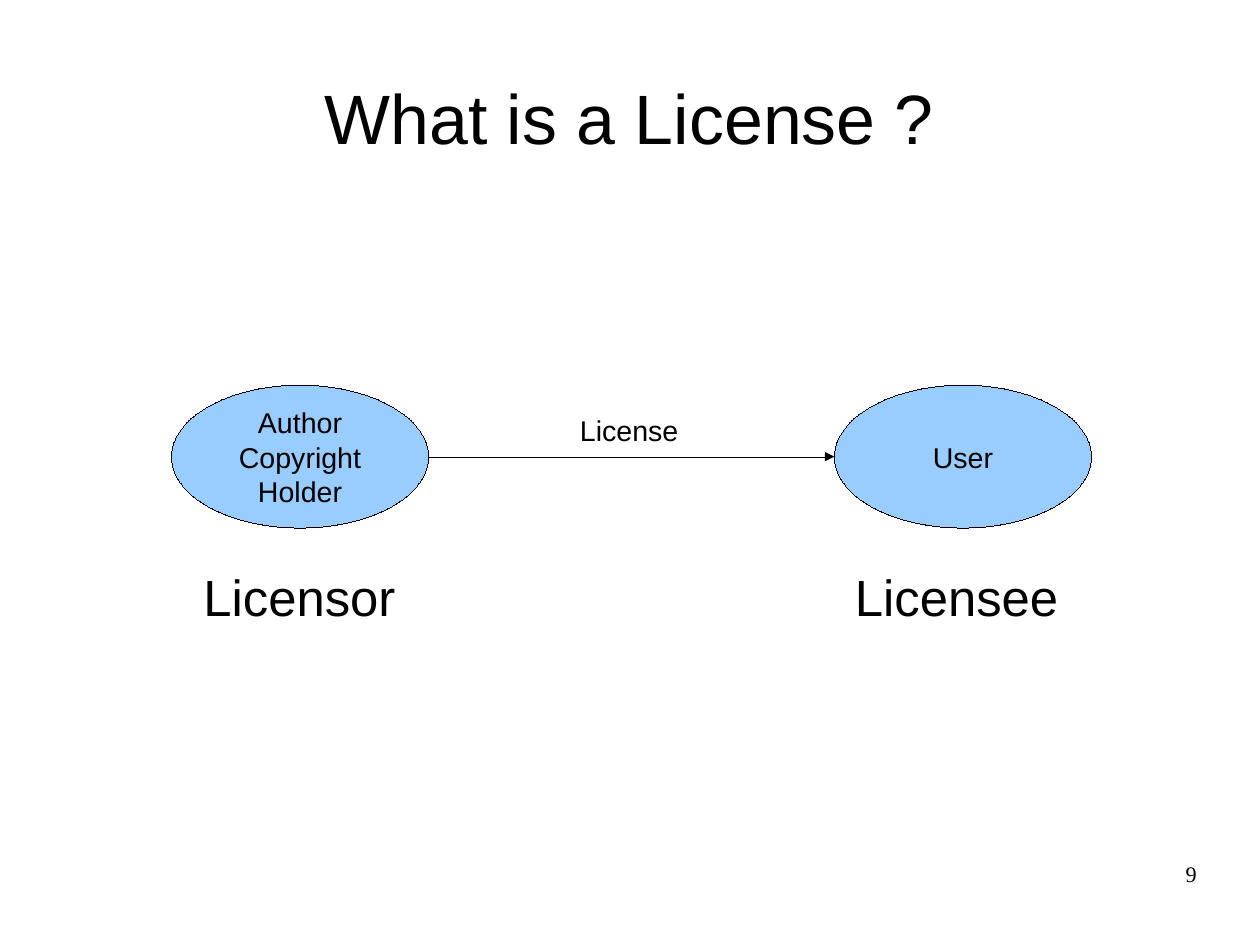
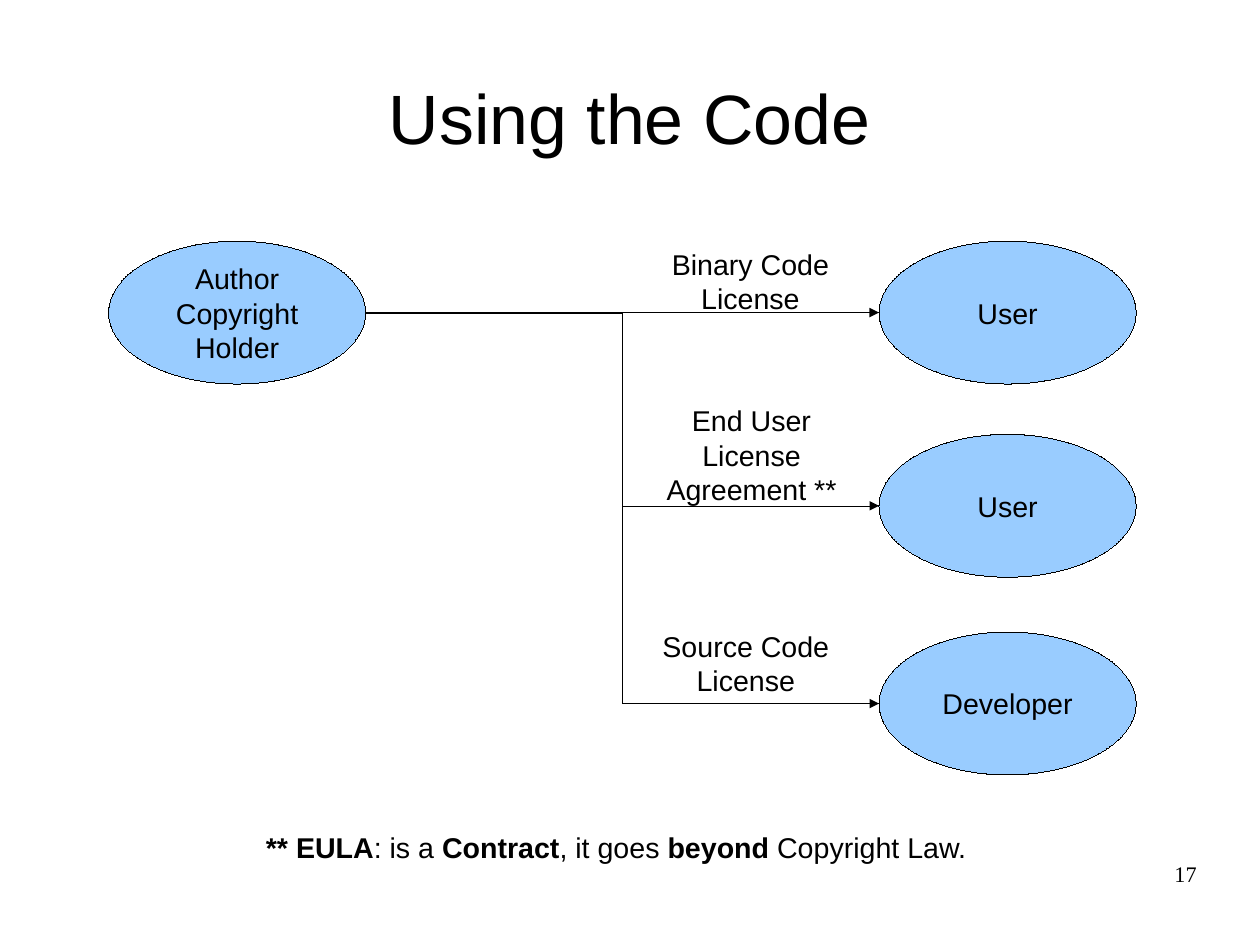
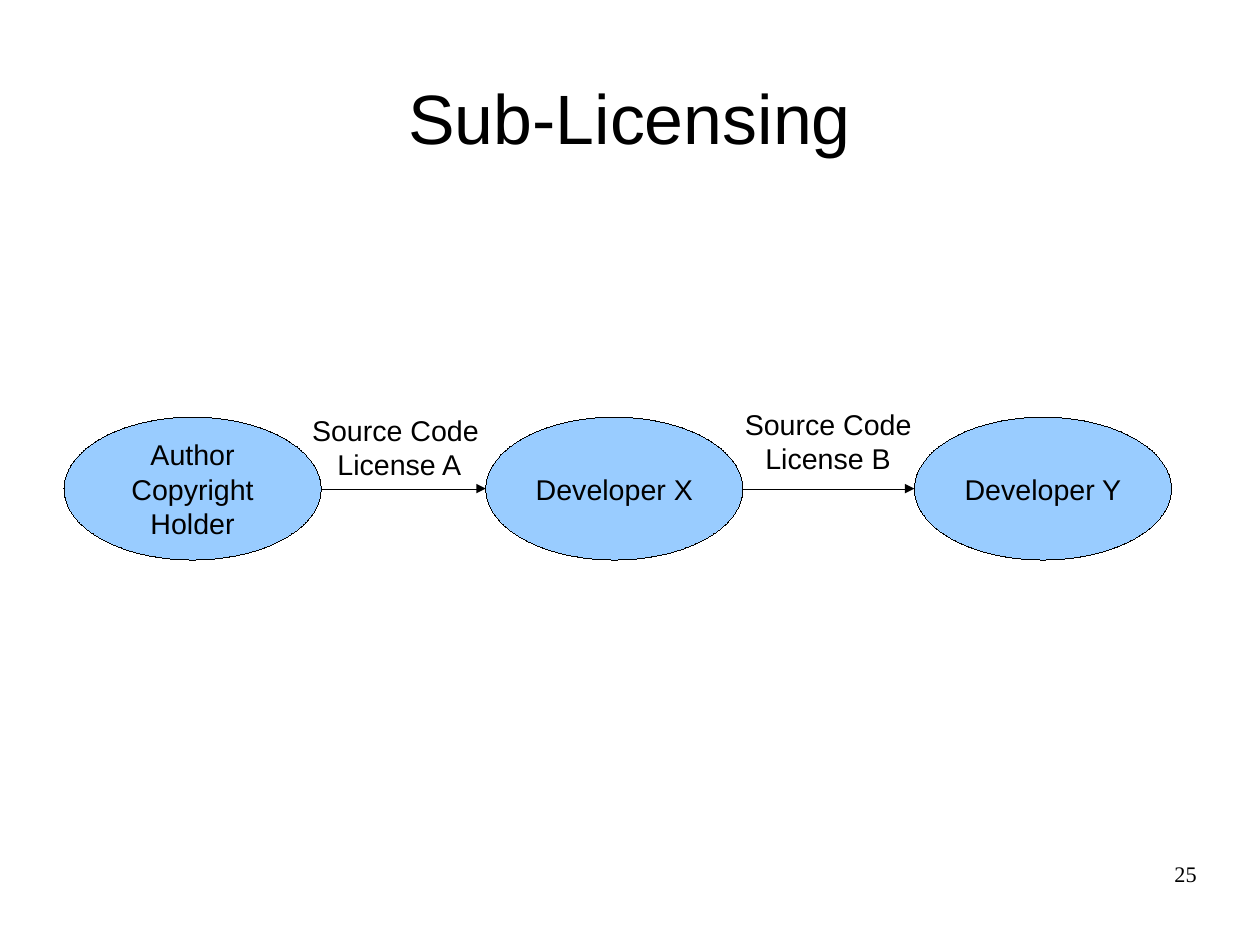
from dataclasses import dataclass

from lxml import etree
from pptx import Presentation
from pptx.dml.color import RGBColor
from pptx.enum import shapes, text
from pptx.oxml import ns
from pptx.util import Inches, Pt


@dataclass(frozen=True)
class Theme:
    ink: RGBColor = RGBColor(0x00, 0x00, 0x00)
    party_fill: RGBColor = RGBColor(0x99, 0xCC, 0xFF)
    font: str = "Arial"
    number_font: str = "Times New Roman"
    title_size: int = 44
    role_size: int = 32
    body_size: int = 18
    number_size: int = 14


THEME = Theme()
CM_PER_INCH = 2.54
PARTY_WIDTH, PARTY_HEIGHT = 2.25, 1.25
TITLE_BOX = (0.55, 0.33, 9.92, 1.38)
NUMBER_BOX = (7.9, 7.53, 2.57, 0.57)
AUTHOR = ["Author", "Copyright", "Holder"]
EULA_NOTE = [("** EULA", True), (": is a ", False), ("Contract", True),
             (", it goes ", False), ("beyond", True), (" Copyright Law.", False)]

# parties: left, top, lines; links: indexes of the parties joined;
# labels: box, size, paragraphs
SLIDES = [
    {
        "title": "What is a License ?",
        "number": "9",
        "parties": [(1.5, 3.37, AUTHOR), (7.3, 3.37, ["User"])],
        "links": [(0, 1)],
        "labels": [
            ((4.63, 3.56, 1.75, 0.38), THEME.body_size, ["License"]),
            ((1.48, 4.9, 2.28, 0.6), THEME.role_size, ["Licensor"]),
            ((7.23, 4.9, 2.28, 0.6), THEME.role_size, ["Licensee"]),
        ],
    },
    {
        "title": "Using the Code",
        "number": "17",
        "parties": [(0.95, 2.11, AUTHOR), (7.69, 2.11, ["User"]),
                    (7.69, 3.8, ["User"]), (7.69, 5.53, ["Developer"])],
        "links": [(0, 1), (0, 2), (0, 3)],
        "labels": [
            ((5.69, 2.11, 1.75, 0.66), THEME.body_size, ["Binary Code", "License"]),
            ((5.7, 3.48, 1.75, 0.94), THEME.body_size, ["End User", "License Agreement **"]),
            ((5.65, 5.45, 1.75, 0.66), THEME.body_size, ["Source Code", "License"]),
            ((1.91, 7.21, 6.96, 0.38), THEME.body_size, [EULA_NOTE]),
        ],
    },
    {
        "title": "Sub-Licensing",
        "number": "25",
        "parties": [(0.56, 3.65, AUTHOR), (4.25, 3.65, ["Developer X"]),
                    (8, 3.65, ["Developer Y"])],
        "links": [(0, 1), (1, 2)],
        "labels": [
            ((2.46, 3.56, 2, 0.66), THEME.body_size, ["Source Code", " License A"]),
            ((6.37, 3.51, 1.75, 0.66), THEME.body_size, ["Source Code", "License B"]),
        ],
    },
]


def write(shape, paragraphs, size, font=THEME.font, align=text.PP_ALIGN.CENTER,
          anchor=text.MSO_ANCHOR.TOP, wrap=True, inset=True):
    """Fill a shape with paragraphs, each a string or a list of (text, bold) runs."""
    frame = shape.text_frame
    frame.word_wrap = wrap
    frame.vertical_anchor = anchor
    frame.margin_left = frame.margin_right = Inches(0.1 if inset else 0)
    frame.margin_top = frame.margin_bottom = Inches(0.05 if inset else 0)
    for index, content in enumerate(paragraphs):
        paragraph = frame.add_paragraph() if index else frame.paragraphs[0]
        paragraph.alignment = align
        pieces = [(content, False)] if isinstance(content, str) else content
        for words, bold in pieces:
            run = paragraph.add_run()
            run.text = words
            run.font.name = font
            run.font.size = Pt(size)
            run.font.bold = bold
            run.font.color.rgb = THEME.ink


def draw_hairline(shape):
    """Give a shape the thinnest line; a zero width must be written out in the XML."""
    shape.line.color.rgb = THEME.ink
    outline = shape.line._get_or_add_ln()
    outline.set("w", "0")
    return outline


presentation = Presentation()
presentation.slide_width = Inches(28 / CM_PER_INCH)
presentation.slide_height = Inches(21 / CM_PER_INCH)

for content in SLIDES:
    slide = presentation.slides.add_slide(presentation.slide_layouts[6])

    title = slide.shapes.add_textbox(*map(Inches, TITLE_BOX))
    write(title, [content["title"]], THEME.title_size,
          anchor=text.MSO_ANCHOR.MIDDLE, inset=False)

    parties = content["parties"]
    for left, top, lines in parties:
        party = slide.shapes.add_shape(
            shapes.MSO_SHAPE.OVAL,
            *map(Inches, (left, top, PARTY_WIDTH, PARTY_HEIGHT)))
        party.shadow.inherit = False
        party.fill.solid()
        party.fill.fore_color.rgb = THEME.party_fill
        draw_hairline(party)
        write(party, lines, THEME.body_size,
              anchor=text.MSO_ANCHOR.MIDDLE, wrap=False)

    for source, target in content["links"]:
        source_left, source_top, _ = parties[source]
        target_left, target_top, _ = parties[target]
        level = source_top == target_top
        arrow = slide.shapes.add_connector(
            shapes.MSO_CONNECTOR.STRAIGHT if level else shapes.MSO_CONNECTOR.ELBOW,
            Inches(source_left + PARTY_WIDTH), Inches(source_top + PARTY_HEIGHT / 2),
            Inches(target_left), Inches(target_top + PARTY_HEIGHT / 2))
        outline = draw_hairline(arrow)
        etree.SubElement(outline, ns.qn("a:tailEnd"), type="triangle")
        etree.SubElement(arrow._element.spPr, ns.qn("a:effectLst"))

    for box, size, paragraphs in content["labels"]:
        write(slide.shapes.add_textbox(*map(Inches, box)), paragraphs, size)

    number = slide.shapes.add_textbox(*map(Inches, NUMBER_BOX))
    write(number, [content["number"]], THEME.number_size, THEME.number_font,
          text.PP_ALIGN.RIGHT, inset=False)

presentation.save("out.pptx")
